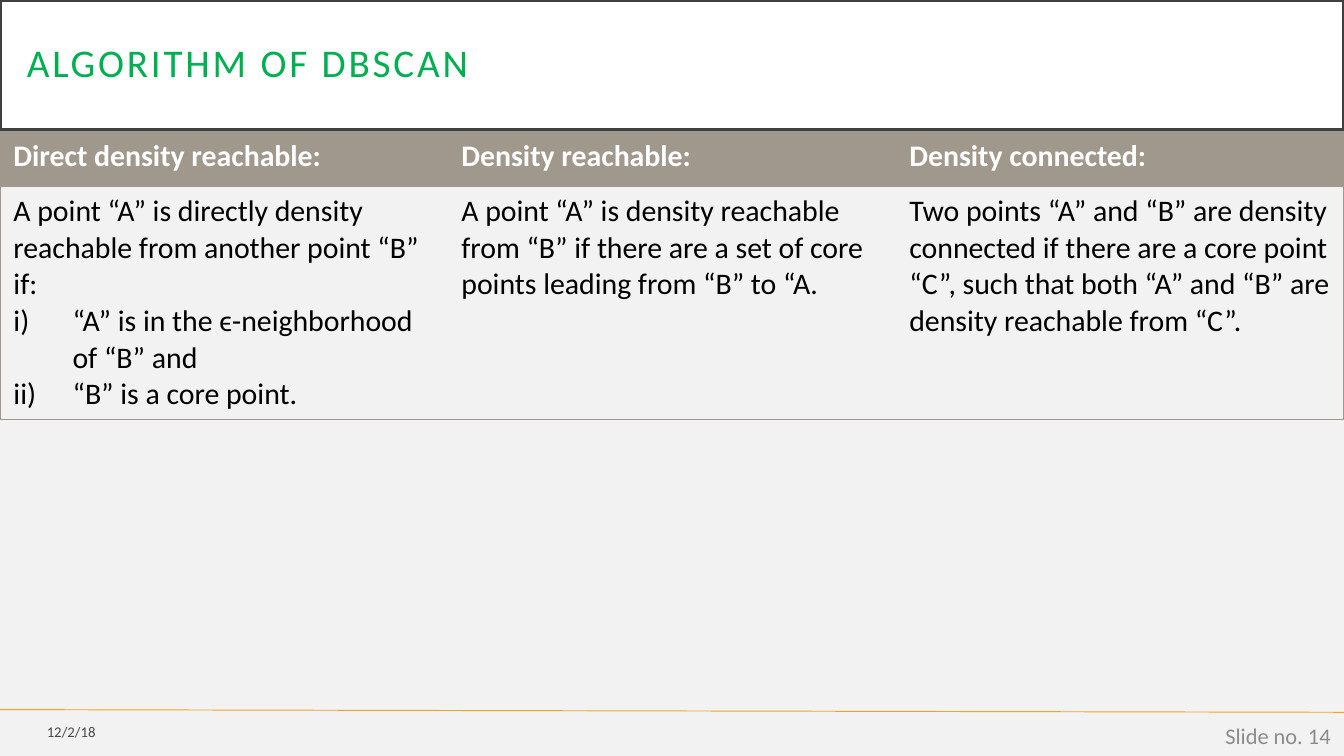
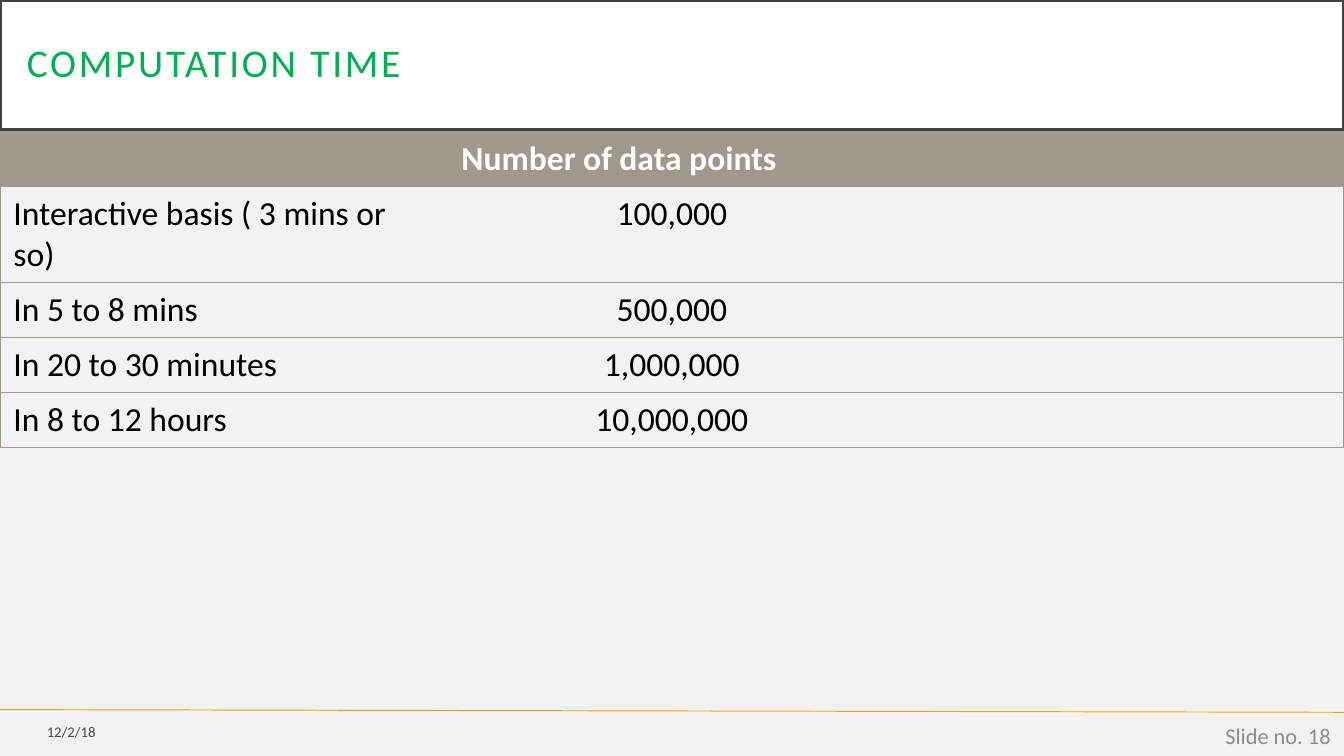
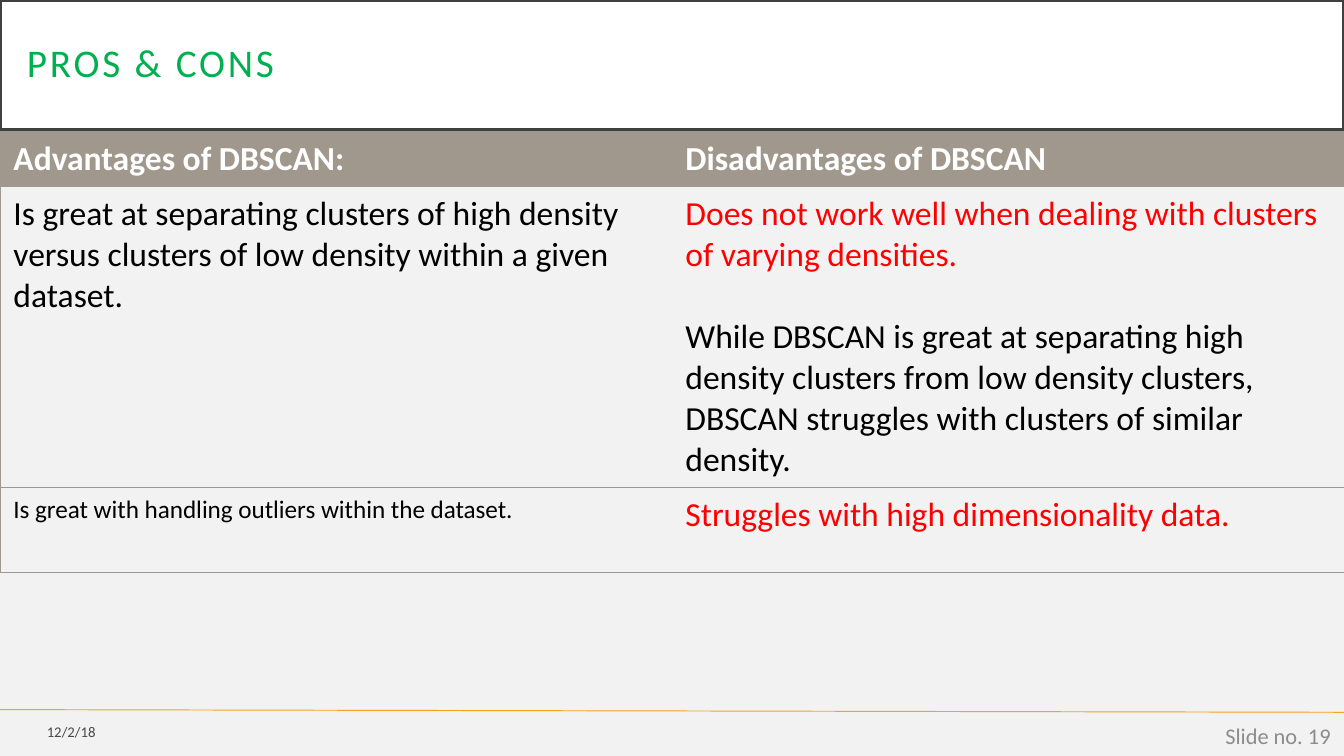
"""Build three table slides about the DBSCAN clustering algorithm."""

from dataclasses import dataclass
from typing import Optional

from lxml.etree import SubElement
from pptx import Presentation
from pptx.dml.color import RGBColor
from pptx.enum.shapes import MSO_CONNECTOR as Connector
from pptx.enum.text import MSO_ANCHOR as Anchor, PP_ALIGN as Align
from pptx.oxml.ns import qn
from pptx.slide import Slide
from pptx.util import Inches, Pt

FONT = "Calibri"
BACKGROUND, WHITE, BLACK = "F2F2F2", "FFFFFF", "000000"
GREEN, RED, TAUPE = "00B050", "FF0000", "A0988C"
ORANGE, DARK_GRAY, GRAY = "F6A21D", "404040", "8C8C8C"
SLIDE_WIDTH = Inches(10)
SLIDE_HEIGHT = SLIDE_WIDTH * 9 // 16
TITLE_HEIGHT, TABLE_TOP = Inches(0.97), Inches(0.98)
ROW_HEIGHT = 0.41


@dataclass(frozen=True)
class Entry:
    """One paragraph of a table cell."""

    text: str
    size: Optional[float] = None
    color: str = BLACK
    bold: bool = False
    align: Align = Align.LEFT
    numbered: bool = False
    space_before: float = 0


@dataclass(frozen=True)
class TableSlide:
    """A title, a slide number and a table whose first row is the header."""

    title: str
    number: int
    text_size: float
    row_heights: list[float]
    rows: list[list[list[Entry]]]


@dataclass(frozen=True)
class FooterText:
    """A right-aligned text at the foot of the slide."""

    left: float
    top: float
    width: float
    height: float
    size: float
    color: str
    opacity: int = 100


DATE = FooterText(0, 5.31, 0.81, 0.27, 7.9, BLACK, 70)
NUMBER = FooterText(7.75, 5.32, 2.25, 0.3, 12, GRAY)


def rgb(color: str) -> RGBColor:
    """Turn a hex string into a colour."""
    return RGBColor.from_string(color)


def format_runs(paragraph, size: float, color: str, bold: bool = False) -> None:
    """Give all runs of a paragraph one font."""
    for run in paragraph.runs:
        run.font.name = FONT
        run.font.size = Pt(size)
        run.font.bold = bold
        run.font.color.rgb = rgb(color)


def header(*texts: str) -> list[list[Entry]]:
    """Make the bold white header row."""
    return [[Entry(text, color=WHITE, bold=True)] for text in texts]


def time_row(duration: str, points: str) -> list[list[Entry]]:
    """Make a row of computation time and number of points."""
    return [[Entry(duration)], [Entry(points, align=Align.CENTER)], [Entry("")]]


def style_master(presentation) -> None:
    """Set the shared background colour."""
    fill = presentation.slide_master.background.fill
    fill.solid()
    fill.fore_color.rgb = rgb(BACKGROUND)


def move_footer_line_to_master(presentation, slide: Slide) -> None:
    """Draw the footer line and make it part of the master."""
    line = slide.shapes.add_connector(
        Connector.STRAIGHT, 0, Inches(5.28), SLIDE_WIDTH, Inches(5.3))
    line.line.color.rgb = rgb(ORANGE)
    line.line.width = Pt(0.5)
    SubElement(line.element.spPr, qn("a:effectLst"))
    presentation.slide_master.shapes.element.append(line.element)


def add_title(slide: Slide, text: str) -> None:
    """Place and format the title band."""
    title = slide.shapes.title
    title.left, title.top, title.width, title.height = 0, 0, SLIDE_WIDTH, TITLE_HEIGHT
    title.fill.solid()
    title.fill.fore_color.rgb = rgb(WHITE)
    title.line.color.rgb = rgb(DARK_GRAY)
    title.line.width = Pt(2.5)
    frame = title.text_frame
    frame.text = text
    frame.word_wrap = True
    frame.vertical_anchor = Anchor.MIDDLE
    frame.margin_left = frame.margin_right = Inches(0.2)
    frame.margin_top = frame.margin_bottom = Inches(0.2)
    paragraph = frame.paragraphs[0]
    paragraph.alignment = Align.LEFT
    paragraph.line_spacing = 0.9
    format_runs(paragraph, 21, GREEN)
    paragraph.runs[0].font._element.set("spc", "150")


def add_footer_text(slide: Slide, footer: FooterText, text: str) -> None:
    """Add a footer text box."""
    box = slide.shapes.add_textbox(Inches(footer.left), Inches(footer.top),
                                   Inches(footer.width), Inches(footer.height))
    frame = box.text_frame
    frame.text = text
    frame.word_wrap = True
    frame.vertical_anchor = Anchor.MIDDLE
    paragraph = frame.paragraphs[0]
    paragraph.alignment = Align.RIGHT
    format_runs(paragraph, footer.size, footer.color)
    if footer.opacity < 100:
        color = next(paragraph.runs[0].font._element.iter(qn("a:srgbClr")))
        SubElement(color, qn("a:alpha"), val=str(footer.opacity * 1000))


def set_borders(cell, first: bool, last: bool) -> None:
    """Rule a cell above and below, and at the outer sides of the table."""
    properties = cell._tc.get_or_add_tcPr()
    sides = {"lnL": first, "lnR": last, "lnT": True, "lnB": True}
    for side, visible in sides.items():
        border = SubElement(properties, qn(f"a:{side}"), w=str(Pt(0.5)))
        if visible:
            fill = SubElement(border, qn("a:solidFill"))
            SubElement(fill, qn("a:srgbClr"), val=TAUPE)
        else:
            SubElement(border, qn("a:noFill"))


def number_paragraph(paragraph) -> None:
    """Number a paragraph with lower-case Roman numerals."""
    properties = paragraph._p.get_or_add_pPr()
    properties.set("marL", str(Inches(0.44)))
    properties.set("indent", str(-Inches(0.44)))
    SubElement(properties, qn("a:buFont"), typeface="+mj-lt")
    SubElement(properties, qn("a:buAutoNum"), type="romanLcParenR")


def fill_cell(cell, entries: list[Entry], text_size: float) -> None:
    """Write the entries of a cell, one paragraph each."""
    frame = cell.text_frame
    frame.text = "\n".join(entry.text for entry in entries)
    for paragraph, entry in zip(frame.paragraphs, entries):
        paragraph.alignment = entry.align
        if entry.space_before:
            paragraph.space_before = Pt(entry.space_before)
        if entry.numbered:
            number_paragraph(paragraph)
        format_runs(paragraph, entry.size or text_size, entry.color, entry.bold)


def add_table(slide: Slide, content: TableSlide) -> None:
    """Add a full-width table with equal columns."""
    column_count = len(content.rows[0])
    table = slide.shapes.add_table(
        len(content.rows), column_count, 0, TABLE_TOP,
        SLIDE_WIDTH, Inches(sum(content.row_heights))).table
    table.horz_banding = False
    for row, height in zip(table.rows, content.row_heights):
        row.height = Inches(height)
    for row_index, row in enumerate(content.rows):
        for column_index, entries in enumerate(row):
            cell = table.cell(row_index, column_index)
            set_borders(cell, column_index == 0, column_index == column_count - 1)
            if row_index == 0:
                cell.fill.solid()
                cell.fill.fore_color.rgb = rgb(TAUPE)
            else:
                cell.fill.background()
            fill_cell(cell, entries, content.text_size)


SLIDES = [
    TableSlide("ALGORITHM OF DBSCAN", 14, 16, [ROW_HEIGHT, 1.73], [
        header("Direct density reachable:", "Density reachable:", "Density connected:"),
        [
            [
                Entry("A point “A” is directly density reachable from another point “B” if:"),
                Entry("“A” is in the ϵ-neighborhood of “B” and", numbered=True),
                Entry("“B” is a core point.", numbered=True),
            ],
            [Entry("A point “A” is density reachable from “B” if there are a set of "
                   "core points leading from “B” to “A.")],
            [Entry("Two points “A” and “B” are density connected if there are a core "
                   "point “C”, such that both “A” and “B” are density reachable from “C”.")],
        ],
    ]),
    TableSlide("COMPUTATION TIME", 18, 18, [ROW_HEIGHT, 0.71] + [ROW_HEIGHT] * 3, [
        header("", "Number of data points", ""),
        time_row("Interactive basis ( 3 mins or so)", "100,000"),
        time_row("In 5 to 8 mins", "500,000"),
        time_row("In 20 to 30 minutes", "1,000,000"),
        time_row("In 8 to 12 hours", "10,000,000"),
    ]),
    TableSlide("PROS & CONS", 19, 18, [ROW_HEIGHT, 2.24, 0.63], [
        header("Advantages of DBSCAN:", "Disadvantages of DBSCAN"),
        [
            [Entry("Is great at separating clusters of high density versus clusters "
                   "of low density within a given dataset.")],
            [
                Entry("Does not work well when dealing with clusters of varying densities.",
                      color=RED),
                Entry("While DBSCAN is great at separating high density clusters from low "
                      "density clusters, DBSCAN struggles with clusters of similar density.",
                      space_before=22),
            ],
        ],
        [
            [Entry("Is great with handling outliers within the dataset.", size=13.5)],
            [Entry("Struggles with high dimensionality data.", color=RED)],
        ],
    ]),
]


def main() -> None:
    """Build and save the presentation."""
    presentation = Presentation()
    presentation.slide_width, presentation.slide_height = SLIDE_WIDTH, SLIDE_HEIGHT
    style_master(presentation)
    title_only = presentation.slide_layouts[5]
    for content in SLIDES:
        slide = presentation.slides.add_slide(title_only)
        add_title(slide, content.title)
        add_table(slide, content)
        add_footer_text(slide, DATE, "12/2/18")
        add_footer_text(slide, NUMBER, f"Slide no. {content.number}")
    move_footer_line_to_master(presentation, presentation.slides[0])
    presentation.save("out.pptx")


if __name__ == "__main__":
    main()
